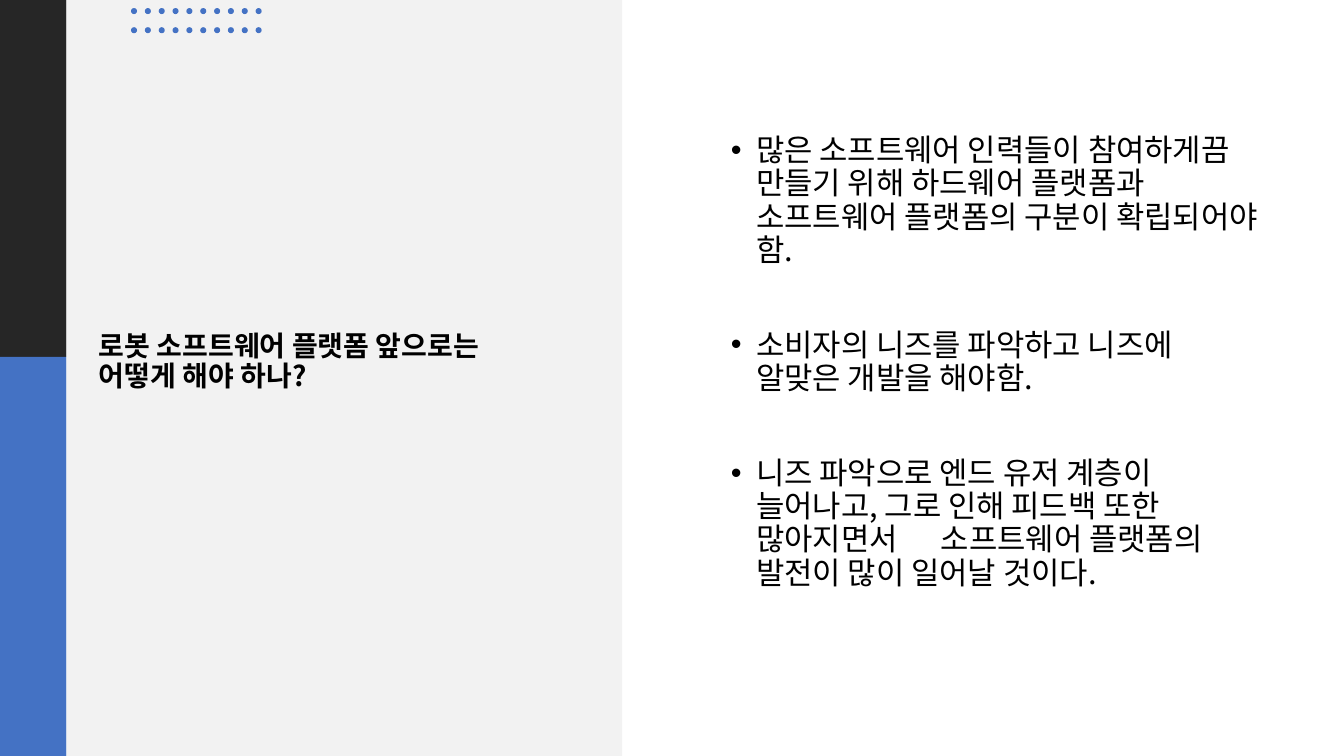
from itertools import product

from lxml.etree import SubElement
from pptx import Presentation
from pptx.dml.color import RGBColor
from pptx.enum.shapes import MSO_SHAPE as Preset
from pptx.enum.text import MSO_ANCHOR as Anchor, MSO_AUTO_SIZE as AutoSize, PP_ALIGN as Align
from pptx.oxml.ns import qn
from pptx.util import Inches, Pt

CHARCOAL = RGBColor(0x26, 0x26, 0x26)
BLUE = RGBColor(0x44, 0x72, 0xC4)
PALE_GREY = RGBColor(0xF2, 0xF2, 0xF2)
BLACK = RGBColor(0, 0, 0)

TITLE = "로봇 소프트웨어 플랫폼 앞으로는 어떻게 해야 하나?"
WIDE_GAP = "|"
POINTS = [
    "많은 소프트웨어 인력들이 참여하게끔 만들기 위해 하드웨어 플랫폼과 소프트웨어 플랫폼의 구분이 확립되어야 함.",
    "소비자의 니즈를 파악하고 니즈에 알맞은 개발을 해야함.",
    "니즈 파악으로 엔드 유저 계층이 늘어나고, 그로 인해 피드백 또한 많아지면서|소프트웨어 플랫폼의 발전이 많이 일어날 것이다.",
]


def apply(target, values):
    for name, value in values.items():
        setattr(target, name, value)


class SlideBuilder:
    typeface = "Noto Sans CJK KR"
    frame_format = {"word_wrap": True, "auto_size": AutoSize.NONE, "vertical_anchor": Anchor.MIDDLE}
    para_format = {"alignment": Align.LEFT, "line_spacing": 0.9}

    def __init__(self, deck):
        self.deck = deck
        self.page = deck.slides.add_slide(deck.slide_layouts[1])

    def area(self, left, top, width, height):
        across, down = self.deck.slide_width / 100, self.deck.slide_height / 100
        return [int(value) for value in (left * across, top * down, width * across, height * down)]

    def shape(self, preset, area, color, parent=None):
        shape = (parent or self.page).shapes.add_shape(preset, *self.area(*area))
        shape.shadow.inherit = False
        shape.fill.solid()
        shape.fill.fore_color.rgb = color
        shape.line.fill.background()

    def dots(self, left, top, columns, rows, column_step, row_step, size):
        group = self.page.shapes.add_group_shape()
        for column, row in product(range(columns), range(rows)):
            place = (left + column * column_step, top + row * row_step)
            self.shape(Preset.OVAL, (*place, *size), BLUE, group)

    def placeholder(self, box, area):
        apply(box, dict(zip(("left", "top", "width", "height"), self.area(*area))))
        apply(box.text_frame, self.frame_format)
        self.page.shapes._spTree.append(box._element)
        return box.text_frame

    def span(self, para, text, size, bold=False):
        span = para.add_run()
        span.text = text
        apply(span.font, {"name": self.typeface, "size": Pt(size), "bold": bold})
        span.font.color.rgb = BLACK
        properties = span._r.get_or_add_rPr()
        SubElement(properties, qn("a:ea")).set("typeface", self.typeface)
        return properties

    def title(self, text, area):
        para = self.placeholder(self.page.shapes.title, area).paragraphs[0]
        apply(para, self.para_format)
        self.span(para, text, 20, True)

    def bullets(self, points, area):
        frame = self.placeholder(self.page.placeholders[1], area)
        for number, point in enumerate(points):
            para = frame.add_paragraph() if number else frame.paragraphs[0]
            apply(para, {**self.para_format, "space_before": Pt(44 if number else 0)})
            properties = para._p.get_or_add_pPr()
            properties.set("marL", str(Inches(0.38)))
            properties.set("indent", str(Inches(-0.25)))
            SubElement(properties, qn("a:buFont")).set("typeface", "Arial")
            SubElement(properties, qn("a:buChar")).set("char", "•")
            for part_number, part in enumerate(point.split(WIDE_GAP)):
                if part_number:
                    self.span(para, " ", 22).set("spc", "2600")
                self.span(para, part, 22)


def main():
    deck = Presentation()
    apply(deck, {"slide_width": Inches(13.33), "slide_height": Inches(7.5)})
    builder = SlideBuilder(deck)
    for area, color in [
        ((0, 0, 4.95, 47.2), CHARCOAL),
        ((0, 47.2, 4.95, 52.8), BLUE),
        ((4.95, 0, 41.34, 100), PALE_GREY),
    ]:
        builder.shape(Preset.RECTANGLE, area, color)
    builder.title(TITLE, (6.6, 19.33, 32.18, 57.2))
    builder.dots(9.75, 1.07, 10, 2, 1.03, 2.53, (0.45, 0.8))
    builder.bullets(POINTS, (52.66, 7.33, 41.86, 81.33))
    deck.save("out.pptx")


if __name__ == "__main__":
    main()
